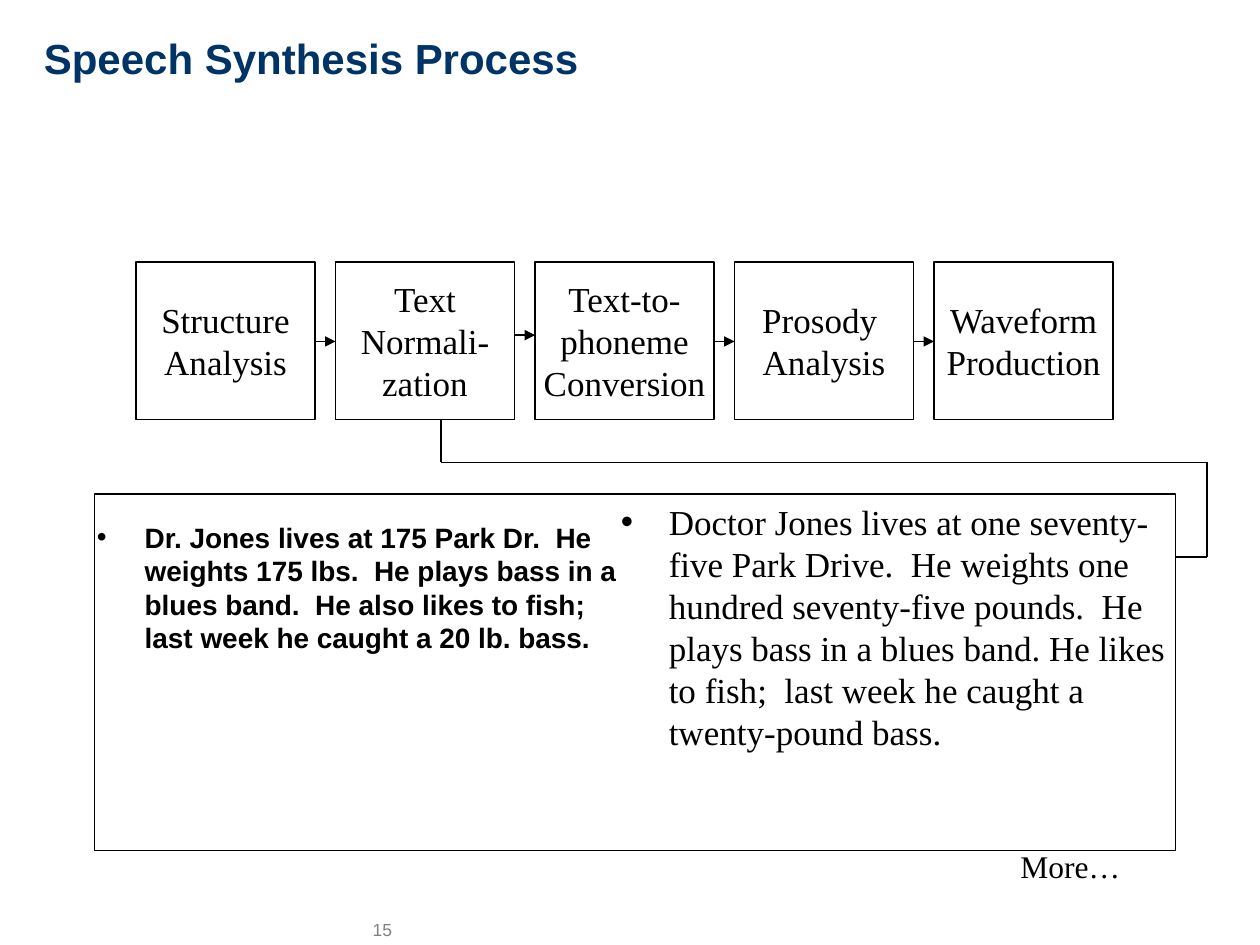
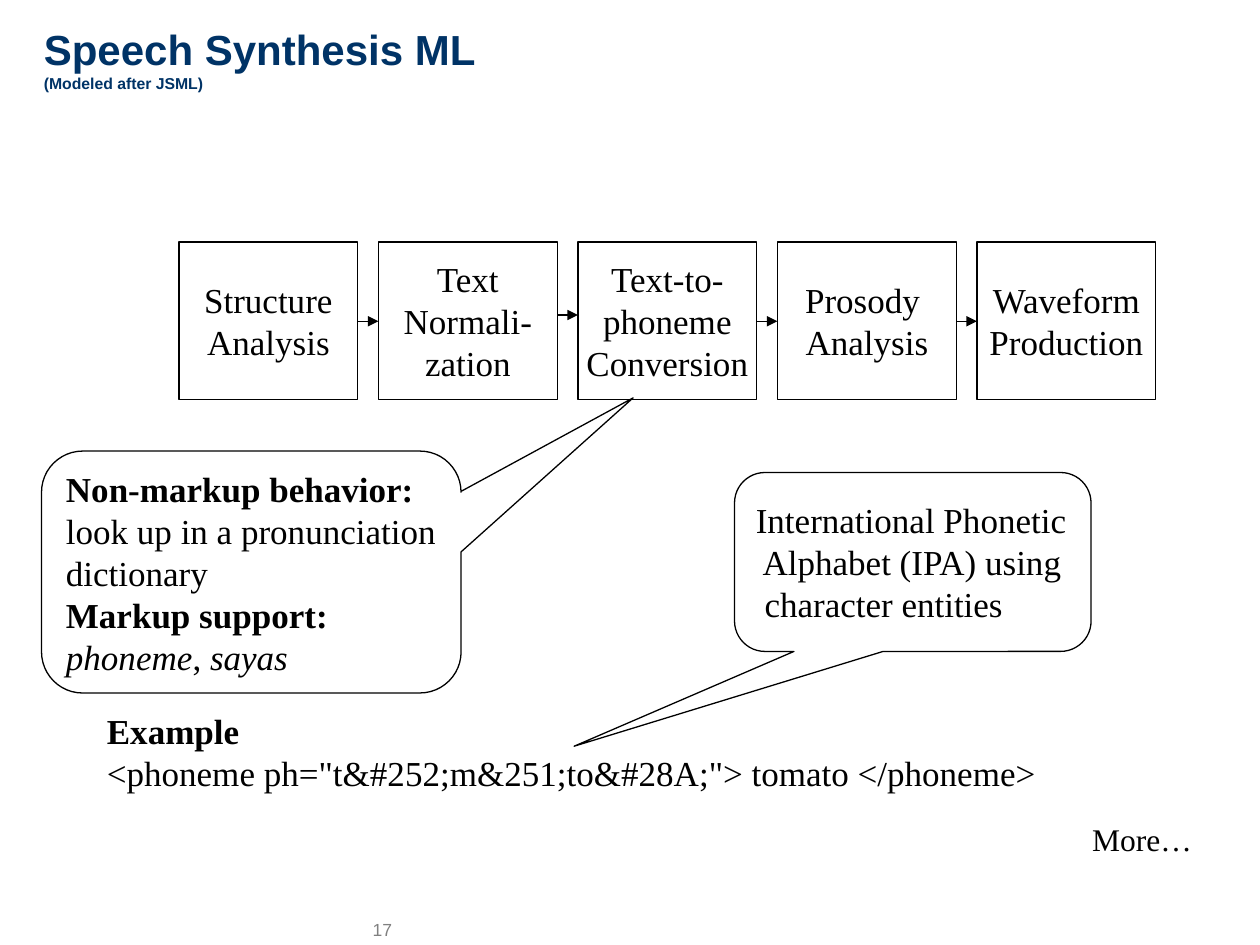
"""Builds two slides on the speech synthesis process and its markup."""
import pptx
import pptx.util
import pptx.dml.color
import pptx.enum.shapes
import pptx.enum.text
import pptx.oxml
import pptx.oxml.ns

Inches = pptx.util.Inches
Pt = pptx.util.Pt
SHAPES = pptx.enum.shapes.MSO_SHAPE
ALIGN = pptx.enum.text.PP_ALIGN
ANCHOR = pptx.enum.text.MSO_ANCHOR

COLORS = {"title": "003366", "ink": "000000", "number": "808080"}
FORMATS = {
    "title": {"name": "Arial", "size": Pt(24), "bold": True, "color": "title"},
    "number": {"name": "Arial", "size": Pt(10), "color": "number"},
    "sample": {"name": "Arial", "size": Pt(16), "bold": True, "color": "ink"},
    "body": {"name": "Times New Roman", "size": Pt(20), "color": "ink"},
    "more": {"name": "Times New Roman", "size": Pt(18), "color": "ink"},
}
BOLD = {"bold": True}
ITALIC = {"italic": True}


def write(shape, paragraphs, style, wrap=False, anchor=ANCHOR.TOP, align=ALIGN.LEFT, bullet=False):
    frame = shape.text_frame
    frame.word_wrap = wrap
    frame.vertical_anchor = anchor
    for index, runs in enumerate(paragraphs):
        paragraph = frame.paragraphs[0] if index == 0 else frame.add_paragraph()
        paragraph.alignment = align
        if bullet:
            properties = paragraph._p.get_or_add_pPr()
            properties.set("marL", str(Inches(0.38)))
            properties.set("indent", str(-Inches(0.38)))
            for mark in ('buFont {} typeface="Arial"', 'buChar {} char="•"'):
                element = mark.format(pptx.oxml.ns.nsdecls("a"))
                properties.append(pptx.oxml.parse_xml(f"<a:{element}/>"))
        for text, changes in [(runs, {})] if isinstance(runs, str) else runs:
            if text == "\n":
                paragraph.add_line_break()
                continue
            run = paragraph.add_run()
            run.text = text
            for attribute, value in {**FORMATS[style], **changes}.items():
                if attribute == "color":
                    run.font.color.rgb = pptx.dml.color.RGBColor.from_string(COLORS[value])
                else:
                    setattr(run.font, attribute, value)


def draw_line(slide, start, end, arrow=False):
    straight = pptx.enum.shapes.MSO_CONNECTOR.STRAIGHT
    line = slide.shapes.add_connector(straight, *map(Inches, start + end))
    line.line.color.rgb = pptx.dml.color.RGBColor.from_string(COLORS["ink"])
    line.line.width = Pt(0.75)
    namespace = pptx.oxml.ns.nsdecls("a")
    if arrow:
        head = pptx.oxml.parse_xml(f'<a:tailEnd {namespace} type="triangle"/>')
        line.line._get_or_add_ln().append(head)
    line._element.spPr.append(pptx.oxml.parse_xml(f"<a:effectLst {namespace}/>"))


STAGES = [
    ["Structure", "Analysis"],
    ["Text", "Normali-", "zation"],
    ["Text-to-", "phoneme", "Conversion"],
    ["Prosody ", "Analysis"],
    ["Waveform", "Production"],
]
STAGE_WIDTH, STAGE_HEIGHT, STAGE_STEP = 1.42, 1.25, 19 / 12
ARROW_DROPS = [0.63, 0.58, 0.63, 0.63]

SLIDES = [
    {
        "title": [[("Speech Synthesis Process", {})]],
        "number": "15",
        "row": (1.08, 2.08),
        "more": (8, 6.67),
        "texts": [
            ((0.67, 4.08, 4.41, 2.87), "sample", True, [
                "Dr. Jones lives at 175 Park Dr.  He weights 175 lbs.  He plays bass in a "
                "blues band.  He also likes to fish; last week he caught a 20 lb. bass."]),
            ((4.83, 3.92, 4.67, 2.92), "body", True, [
                "Doctor Jones lives at one seventy-five Park Drive.  He weights one hundred "
                "seventy-five pounds.  He plays bass in a blues band. He likes to fish;  "
                "last week he caught a twenty-pound bass."]),
        ],
        "panels": [(SHAPES.RECTANGLE, (0.75, 3.92, 8.58, 2.83), [], [])],
        "route": [(3.5, 3.33), (3.5, 3.67), (9.58, 3.67), (9.58, 4.42), (9.33, 4.42)],
    },
    {
        "title": [[("Speech Synthesis ML", {}), ("\n", {}),
                   ("(Modeled after JSML)", {"size": Pt(9)})]],
        "number": "17",
        "row": (1.42, 1.92),
        "more": (8.57, 6.46),
        "texts": [
            ((0.75, 5.58, 8.67, 0.77), "body", False, [
                [("Example", BOLD)],
                '<phoneme ph="t&#252;m&251;to&#28A;"> tomato </phoneme>']),
        ],
        "panels": [
            (SHAPES.ROUNDED_RECTANGULAR_CALLOUT, (0.33, 3.58, 3.33, 1.92), [0.91, -0.72, 0.17], [
                [("Non-markup behavior:", BOLD)],
                "look up in a pronunciation",
                "dictionary",
                [("Markup support:", BOLD)],
                [("phoneme", ITALIC), (", ", {}), ("sayas", ITALIC)]]),
            (SHAPES.ROUNDED_RECTANGULAR_CALLOUT, (5.83, 3.75, 2.83, 1.42), [-0.95, 1.03, 0.17], [
                "International Phonetic",
                " Alphabet (IPA) using",
                " character entities"]),
        ],
        "route": [],
    },
]

deck = pptx.Presentation()
deck.slide_width, deck.slide_height = Inches(10), Inches(7.5)

for content in SLIDES:
    slide = deck.slides.add_slide(deck.slide_layouts[6])

    number = slide.shapes.add_textbox(*map(Inches, (2.86, 7.25, 0.45, 0.25)))
    write(number, [content["number"]], "number", anchor=ANCHOR.MIDDLE)
    title = slide.shapes.add_textbox(*map(Inches, (0.25, 0, 6.17, 0.92)))
    write(title, content["title"], "title", wrap=True, anchor=ANCHOR.MIDDLE)

    row_left, row_top = content["row"]
    outlines = [
        (SHAPES.RECTANGLE, (row_left + i * STAGE_STEP, row_top, STAGE_WIDTH, STAGE_HEIGHT),
         [], stage, ALIGN.CENTER)
        for i, stage in enumerate(STAGES)
    ]
    outlines += [panel + (ALIGN.LEFT,) for panel in content["panels"]]
    for kind, place, adjustments, paragraphs, align in outlines:
        outline = slide.shapes.add_shape(kind, *map(Inches, place))
        outline.shadow.inherit = False
        outline.fill.background()
        outline.line.color.rgb = pptx.dml.color.RGBColor.from_string(COLORS["ink"])
        outline.line.width = Pt(0.75)
        for i, value in enumerate(adjustments):
            outline.adjustments[i] = value
        write(outline, paragraphs, "body", anchor=ANCHOR.MIDDLE, align=align)

    for i, drop in enumerate(ARROW_DROPS):
        next_left = row_left + (i + 1) * STAGE_STEP
        gap_left = next_left - STAGE_STEP + STAGE_WIDTH
        draw_line(slide, (gap_left, row_top + drop), (next_left, row_top + drop), arrow=True)

    for start, end in zip(content["route"], content["route"][1:]):
        draw_line(slide, start, end)

    for place, style, bullet, paragraphs in content["texts"]:
        passage = slide.shapes.add_textbox(*map(Inches, place))
        write(passage, paragraphs, style, wrap=True, bullet=bullet)

    more = slide.shapes.add_textbox(*map(Inches, content["more"] + (0.99, 0.4)))
    write(more, ["More…"], "more")

deck.save("out.pptx")
